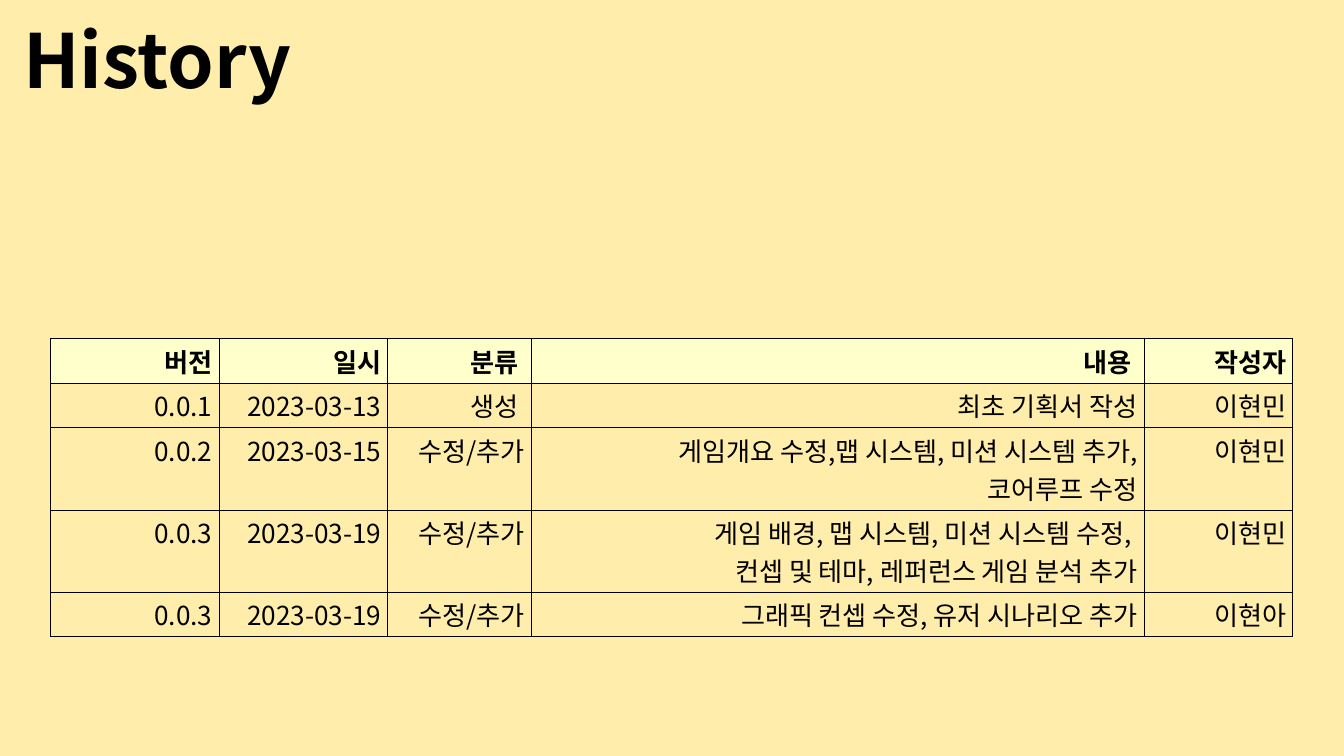
from typing import NamedTuple

from lxml.etree import SubElement
from pptx import Presentation
from pptx.dml.color import RGBColor
from pptx.enum.text import MSO_ANCHOR, MSO_AUTO_SIZE, PP_ALIGN
from pptx.oxml.ns import qn
from pptx.util import Inches, Pt

FONT = "Noto Sans CJK KR"
BLACK = RGBColor(0x00, 0x00, 0x00)
CREAM = RGBColor(0xFF, 0xED, 0xAB)
HEADER_FILL = RGBColor(0xFF, 0xFF, 0xCC)


class Revision(NamedTuple):
    version: str
    date: str
    kind: str
    content: str
    author: str


HEADER = Revision("버전", "일시", "분류 ", "내용 ", "작성자")
REVISIONS = [
    Revision("0.0.1", "2023-03-13", "생성 ", "최초 기획서 작성", "이현민"),
    Revision("0.0.2", "2023-03-15", "수정/추가",
             "게임개요 수정,맵 시스템, 미션 시스템 추가,\n코어루프 수정", "이현민"),
    Revision("0.0.3", "2023-03-19", "수정/추가",
             "게임 배경, 맵 시스템, 미션 시스템 수정, \n"
             "컨셉 및 테마, 레퍼런스 게임 분석 추가", "이현민"),
    Revision("0.0.3", "2023-03-19", "수정/추가",
             "그래픽 컨셉 수정, 유저 시나리오 추가", "이현아"),
]
COLUMN_WIDTHS = [2.51, 2.51, 2.14, 9.12, 2.21]
ROW_HEIGHT = 0.46


def write_text(tf, text: str, size: int, bold: bool, align: PP_ALIGN) -> None:
    tf.text = text
    for p in tf.paragraphs:
        p.alignment = align
        p.font.size = Pt(size)
        p.font.bold = bold
        p.font.name = FONT
        p.font.color.rgb = BLACK
        props = p._p.pPr.find(qn("a:defRPr"))
        SubElement(props, qn("a:ea"), typeface=FONT)


def add_borders(cell) -> None:
    tc_pr = cell._tc.get_or_add_tcPr()
    for i, side in enumerate(("a:lnL", "a:lnR", "a:lnT", "a:lnB")):
        ln = SubElement(tc_pr, qn(side), w=str(Pt(1)))
        fill = SubElement(ln, qn("a:solidFill"))
        SubElement(fill, qn("a:srgbClr"), val=str(BLACK))
        tc_pr.insert(i, ln)


def add_title(s, text: str) -> None:
    sp = s.shapes.add_textbox(Inches(0.25), Inches(0.15), Inches(4.29), Inches(1.45))
    tf = sp.text_frame
    tf.word_wrap = False
    tf.auto_size = MSO_AUTO_SIZE.SHAPE_TO_FIT_TEXT
    tf.vertical_anchor = MSO_ANCHOR.MIDDLE
    write_text(tf, text, 80, True, PP_ALIGN.LEFT)


def add_history(s, rows: list[Revision]) -> None:
    table = s.shapes.add_table(
        len(rows), len(COLUMN_WIDTHS), Inches(0.75), Inches(5.04),
        Inches(sum(COLUMN_WIDTHS)), Inches(ROW_HEIGHT * len(rows))).table
    for column, width in zip(table.columns, COLUMN_WIDTHS):
        column.width = Inches(width)
    for i, revision in enumerate(rows):
        table.rows[i].height = Inches(ROW_HEIGHT)
        for j, text in enumerate(revision):
            cell = table.cell(i, j)
            write_text(cell.text_frame, text, 28, i == 0, PP_ALIGN.RIGHT)
            if i == 0:
                cell.fill.solid()
                cell.fill.fore_color.rgb = HEADER_FILL
            else:
                cell.fill.background()
            add_borders(cell)


def main() -> None:
    prs = Presentation()
    prs.slide_width = Inches(20)
    prs.slide_height = Inches(11.25)
    s = prs.slides.add_slide(prs.slide_layouts[6])
    s.background.fill.solid()
    s.background.fill.fore_color.rgb = CREAM
    add_history(s, [HEADER, *REVISIONS])
    add_title(s, "History")
    prs.save("out.pptx")


if __name__ == "__main__":
    main()
